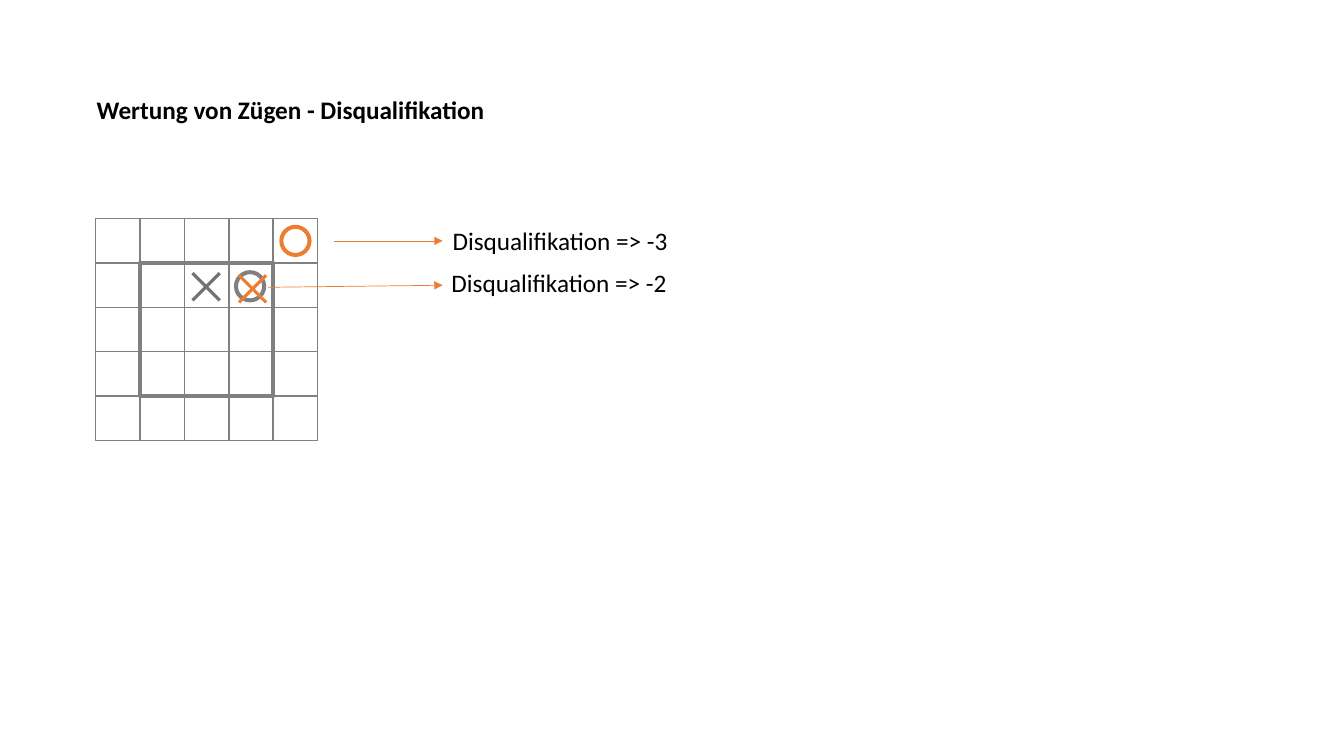
"""Builds the slide on scoring disqualified moves."""
from lxml import etree
from pptx import Presentation
from pptx.dml.color import RGBColor
from pptx.enum.shapes import MSO_CONNECTOR, MSO_SHAPE
from pptx.enum.text import MSO_AUTO_SIZE
from pptx.oxml.ns import qn
from pptx.util import Inches, Pt

RECT = MSO_SHAPE.RECTANGLE
DONUT = MSO_SHAPE.DONUT
STRAIGHT = MSO_CONNECTOR.STRAIGHT
FIT_TEXT = MSO_AUTO_SIZE.SHAPE_TO_FIT_TEXT
LEFT_SIDE = 1

GRAY, DARK_GRAY, ORANGE = "808080", "767171", "ED7D31"
WHITE, BLACK = "FFFFFF", "000000"
BOARD_X, BOARD_Y, CELL, SIZE = 0.95, 2.17, 0.44, 5
MARK = 0.27


def rgb(value):
    return RGBColor.from_string(value)


class Board:
    font = "Calibri"
    size = Pt(18)

    def __init__(self, s):
        self.s = s

    def group(self):
        return self.s.shapes.add_group_shape()

    def text(self, x, y, w, h, text, bold=False):
        sp = self.s.shapes.add_textbox(Inches(x), Inches(y), Inches(w), Inches(h))
        tf = sp.text_frame
        tf.word_wrap = False
        tf.auto_size = FIT_TEXT
        p = tf.paragraphs[0]
        p.text = text
        p.font.name, p.font.size, p.font.bold = self.font, self.size, bold
        p.font.color.rgb = rgb(BLACK)
        return sp

    def square(self, group, x, y, side, width, fill=None):
        sp = group.shapes.add_shape(RECT, Inches(x), Inches(y), Inches(side), Inches(side))
        sp.shadow.inherit = False
        if fill:
            sp.fill.solid()
            sp.fill.fore_color.rgb = rgb(fill)
        else:
            sp.fill.background()
        sp.line.color.rgb = rgb(GRAY)
        sp.line.width = Pt(width)

    def ring(self, x, y, color):
        sp = self.s.shapes.add_shape(DONUT, Inches(x), Inches(y), Inches(0.32), Inches(0.32))
        sp.adjustments[0] = 0.126
        sp.shadow.inherit = False
        sp.fill.solid()
        sp.fill.fore_color.rgb = rgb(color)
        sp.line.fill.background()

    def line(self, parent, x1, y1, x2, y2, color, width):
        cx = parent.shapes.add_connector(STRAIGHT, Inches(x1), Inches(y1), Inches(x2), Inches(y2))
        cx.line.color.rgb = rgb(color)
        cx.line.width = Pt(width)
        etree.SubElement(cx._element.spPr, qn("a:effectLst"))
        return cx

    def cross(self, x, y, color):
        group = self.group()
        self.line(group, x, y, x + MARK, y + MARK, color, 2.25)
        self.line(group, x, y + MARK, x + MARK, y, color, 2.25)

    def arrow(self, x1, y1, x2, y2):
        cx = self.line(self.s, x1, y1, x2, y2, ORANGE, 0.5)
        etree.SubElement(cx.line._get_or_add_ln(), qn("a:tailEnd"), type="triangle")
        return cx


def main():
    prs = Presentation()
    prs.slide_width, prs.slide_height = Inches(13.33), Inches(7.5)
    board = Board(prs.slides.add_slide(prs.slide_layouts[6]))

    board.text(0.86, 0.89, 4.08, 0.71, "Wertung von Zügen - Disqualifikation", bold=True)

    grid = board.group()
    for row in range(SIZE):
        for col in range(SIZE):
            board.square(grid, BOARD_X + col * CELL, BOARD_Y + row * CELL, CELL, 1, WHITE)
    board.square(grid, BOARD_X + CELL, BOARD_Y + CELL, 3 * CELL, 3)

    board.ring(2.32, 2.68, GRAY)
    board.cross(1.91, 2.71, DARK_GRAY)
    board.ring(2.77, 2.23, ORANGE)
    minus_three = board.text(4.39, 2.19, 2.36, 0.4, "Disqualifikation => -3")
    board.arrow(3.31, 2.39, 4.39, 2.39).end_connect(minus_three, LEFT_SIDE)
    board.arrow(2.66, 2.85, 4.39, 2.83)
    board.cross(2.37, 2.73, ORANGE)
    board.text(4.38, 2.6, 2.36, 0.4, "Disqualifikation => -2")

    prs.save("out.pptx")


if __name__ == "__main__":
    main()
